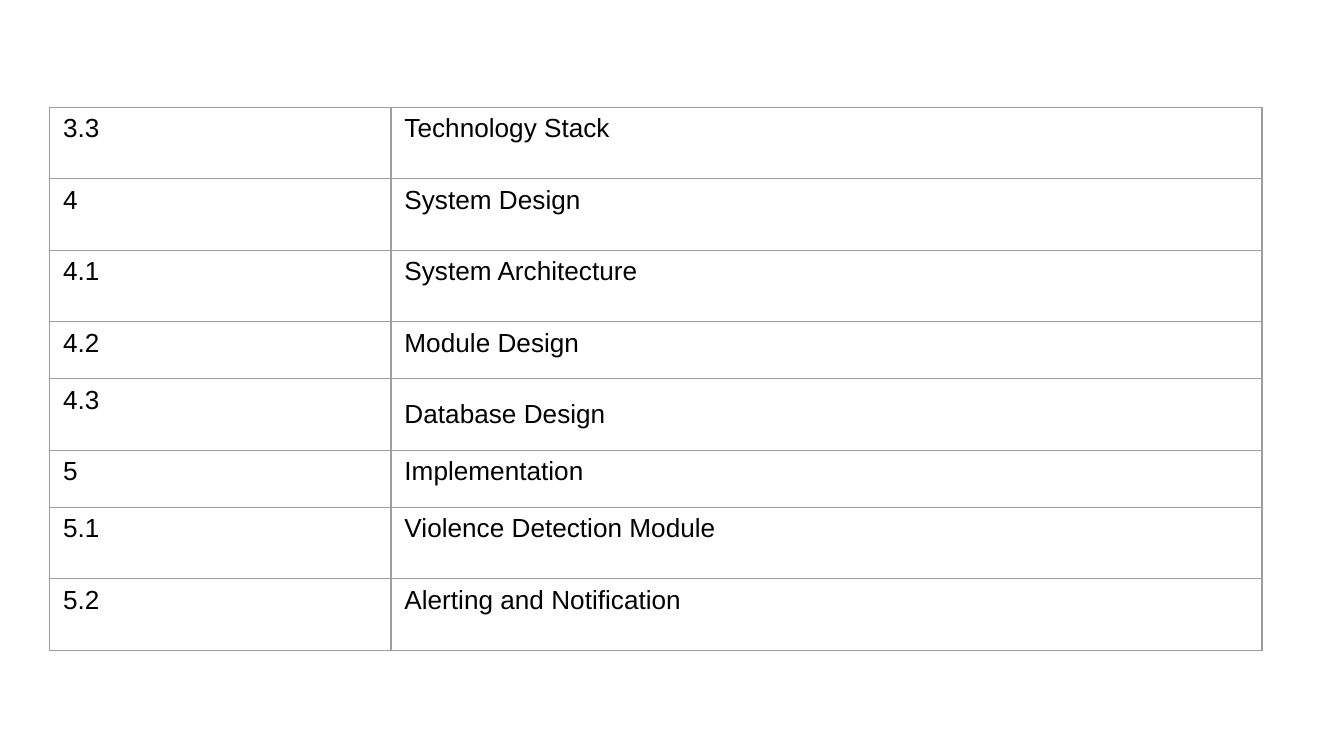
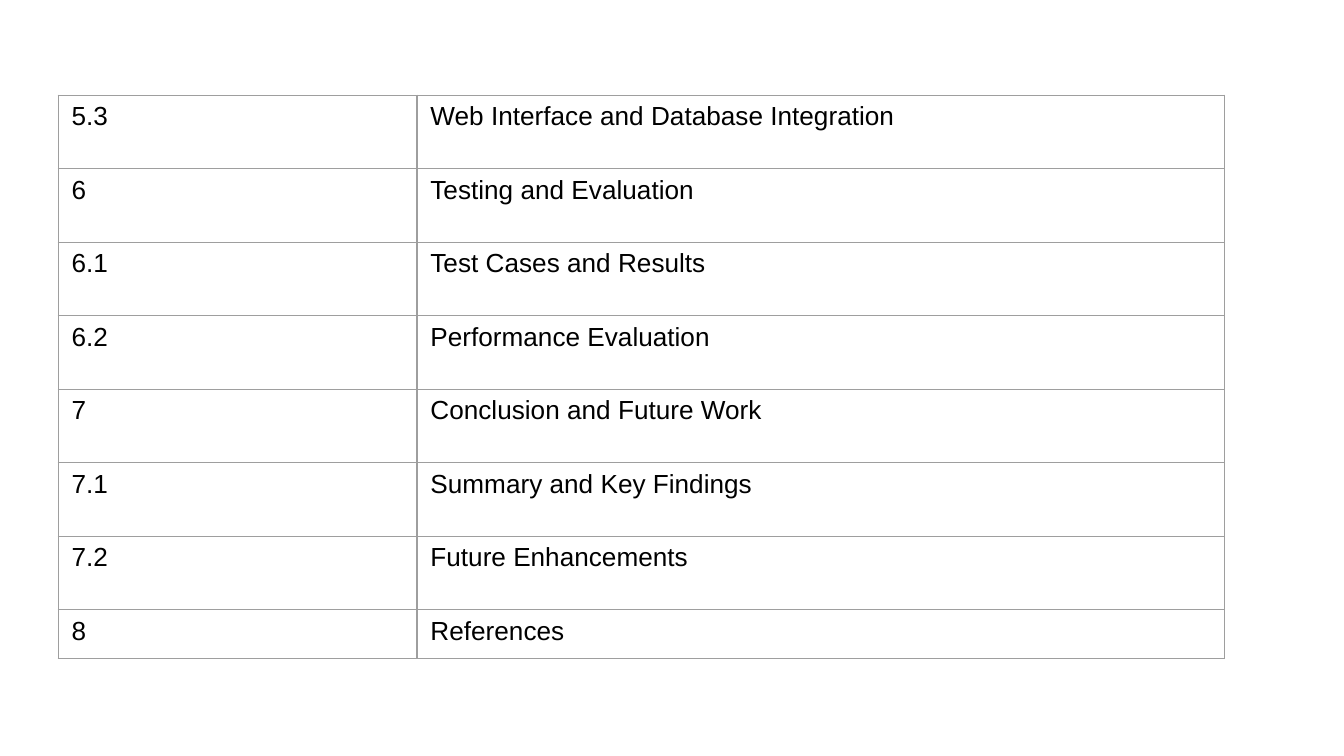
from dataclasses import dataclass

from lxml import etree
from pptx import Presentation
from pptx.dml.color import RGBColor
from pptx.enum.text import MSO_ANCHOR
from pptx.oxml.ns import qn
from pptx.util import Cm, Pt

TOP = MSO_ANCHOR.TOP
MIDDLE = MSO_ANCHOR.MIDDLE
BLANK_LAYOUT = 6


@dataclass(frozen=True)
class Theme:
    font: str = "Arial"
    text_size: float = 14
    text_color: str = "000000"
    border_color: str = "9E9E9E"
    border_width: float = 0.75


class ContentsDeck:
    def __init__(self, theme):
        self.theme = theme
        self.presentation = Presentation()
        self.presentation.slide_width = Cm(25.4)
        self.presentation.slide_height = Cm(14.29)
        self.slide = None

    def add_slide(self):
        layout = self.presentation.slide_layouts[BLANK_LAYOUT]
        self.slide = self.presentation.slides.add_slide(layout)

    def add_contents_table(self, left, top, column_widths, entries, row_height,
                           special_heights, centred_titles=()):
        """Draw (number, title) rows; special_heights maps a number to its row height."""
        heights = [special_heights.get(number, row_height) for number, _ in entries]
        table = self.slide.shapes.add_table(
            len(entries), len(column_widths), Cm(left), Cm(top),
            Cm(sum(column_widths)), Cm(sum(heights))).table
        table.first_row = False
        table.horz_banding = False
        for column, width in zip(table.columns, column_widths):
            column.width = Cm(width)
        for row, height, entry in zip(table.rows, heights, entries):
            row.height = Cm(height)
            for cell, text in zip(row.cells, entry):
                anchor = MIDDLE if text in centred_titles else TOP
                self.format_cell(cell, text, anchor)

    def format_cell(self, cell, text, anchor):
        cell.text_frame.text = text
        cell.vertical_anchor = anchor
        font = cell.text_frame.paragraphs[0].runs[0].font
        font.name = self.theme.font
        font.size = Pt(self.theme.text_size)
        font.color.rgb = RGBColor.from_string(self.theme.text_color)
        self.add_borders(cell)
        cell.fill.background()

    def add_borders(self, cell):
        properties = cell._tc.get_or_add_tcPr()
        for side in ("a:lnL", "a:lnR", "a:lnT", "a:lnB"):
            line = etree.SubElement(properties, qn(side),
                                    w=str(Pt(self.theme.border_width)))
            fill = etree.SubElement(line, qn("a:solidFill"))
            etree.SubElement(fill, qn("a:srgbClr"), val=self.theme.border_color)


def main():
    deck = ContentsDeck(Theme())

    deck.add_slide()
    deck.add_contents_table(
        0.94, 2.03, (6.45, 16.46),
        [
            ("3.3", "Technology Stack"),
            ("4", "System Design"),
            ("4.1", "System Architecture"),
            ("4.2", "Module Design"),
            ("4.3", "Database Design"),
            ("5", "Implementation"),
            ("5.1", "Violence Detection Module"),
            ("5.2", "Alerting and Notification"),
        ],
        row_height=1.35,
        special_heights={"4.2": 1.08, "5": 1.08},
        centred_titles=("Database Design",),
    )

    deck.add_slide()
    deck.add_contents_table(
        1.1, 1.8, (6.78, 15.26),
        [
            ("5.3", "Web Interface and Database Integration"),
            ("6", "Testing and Evaluation"),
            ("6.1", "Test Cases and Results"),
            ("6.2", "Performance Evaluation"),
            ("7", "Conclusion and Future Work"),
            ("7.1", "Summary and Key Findings"),
            ("7.2", "Future Enhancements"),
            ("8", "References"),
        ],
        row_height=1.39,
        special_heights={"8": 0.93},
    )

    deck.presentation.save("out.pptx")


if __name__ == "__main__":
    main()
